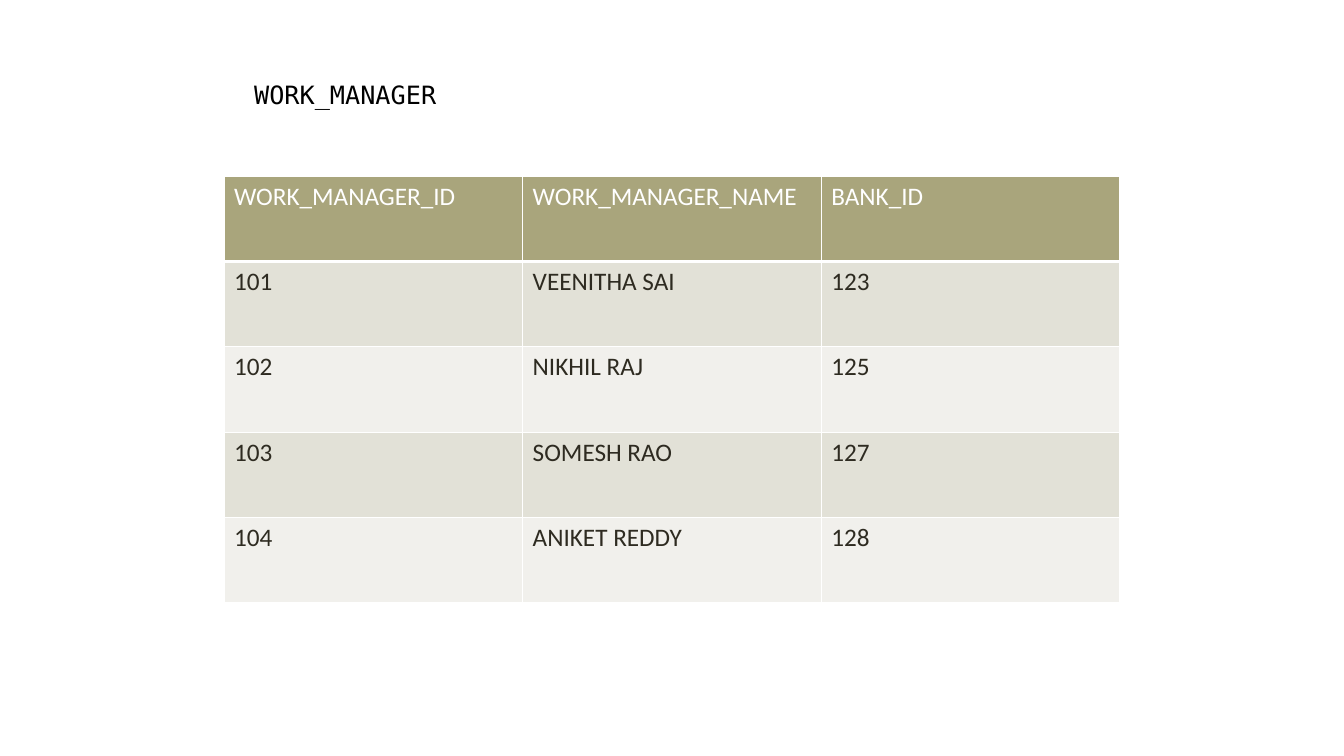
"""Build the WORK_MANAGER table slide on a grid of 60 columns and 30 rows."""
import dataclasses

import lxml.etree
import pptx
import pptx.dml.color
import pptx.oxml.ns
import pptx.util

WIDE, HIGH = pptx.util.Inches(13.33), pptx.util.Inches(7.5)
COLS, ROWS = 60, 30
HUES = {
    "white": "FFFFFF",
    "black": "000000",
    "ink": "2E2B21",
    "head": "A9A57C",
    "odd": "E2E1D7",
    "even": "F1F0EC",
}
DATA = [
    ("WORK_MANAGER_ID", "WORK_MANAGER_NAME", "BANK_ID"),
    ("101", "VEENITHA SAI", "123"),
    ("102", "NIKHIL RAJ", "125"),
    ("103", "SOMESH RAO", "127"),
    ("104", "ANIKET REDDY", "128"),
]


@dataclasses.dataclass(frozen=True)
class Area:
    col: float
    row: float
    cols: float
    rows: float

    def box(self) -> tuple[int, int, int, int]:
        return (
            round(self.col * WIDE / COLS),
            round(self.row * HIGH / ROWS),
            round(self.cols * WIDE / COLS),
            round(self.rows * HIGH / ROWS),
        )


@dataclasses.dataclass(frozen=True)
class Look:
    fill: str
    ink: str
    top: float = 1
    base: float = 1


TITLE = Area(10.9, 2.96, 21.15, 2.84)
TABLE = Area(10, 7, 40, 16.92)
HEAD = Look("head", "white", base=3)
FIRST = Look("odd", "ink", top=3)
ODD = Look("odd", "ink")
EVEN = Look("even", "ink")
LOOKS = [HEAD, FIRST, EVEN, ODD, EVEN]


def tint(name: str) -> pptx.dml.color.RGBColor:
    return pptx.dml.color.RGBColor.from_string(HUES[name])


def write(frame, text: str, face: str, ink: str) -> None:
    frame.text = text
    font = frame.paragraphs[0].font
    font.name = face
    font.size = pptx.util.Pt(18)
    font.bold = False
    font.color.rgb = tint(ink)


def edge(cell, side: str, width: float) -> None:
    name = pptx.oxml.ns.qn
    props = cell._tc.get_or_add_tcPr()
    line = lxml.etree.SubElement(props, name(f"a:ln{side}"), w=str(pptx.util.Pt(width)))
    fill = lxml.etree.SubElement(line, name("a:solidFill"))
    lxml.etree.SubElement(fill, name("a:srgbClr"), val=HUES["white"])


def dress(cell, text: str, look: Look) -> None:
    for side, width in (("L", 1), ("R", 1), ("T", look.top), ("B", look.base)):
        edge(cell, side, width)
    cell.fill.solid()
    cell.fill.fore_color.rgb = tint(look.fill)
    write(cell.text_frame, text, "Calibri", look.ink)


def main() -> None:
    deck = pptx.Presentation()
    deck.slide_width, deck.slide_height = WIDE, HIGH
    slide = deck.slides.add_slide(deck.slide_layouts[6])

    table = slide.shapes.add_table(len(DATA), len(DATA[0]), *TABLE.box()).table
    for row, (texts, look) in enumerate(zip(DATA, LOOKS)):
        for col, text in enumerate(texts):
            dress(table.cell(row, col), text, look)

    title = slide.shapes.add_textbox(*TITLE.box()).text_frame
    title.word_wrap = True
    write(title, "WORK_MANAGER", "DejaVu Sans Mono", "black")

    deck.save("out.pptx")


if __name__ == "__main__":
    main()
